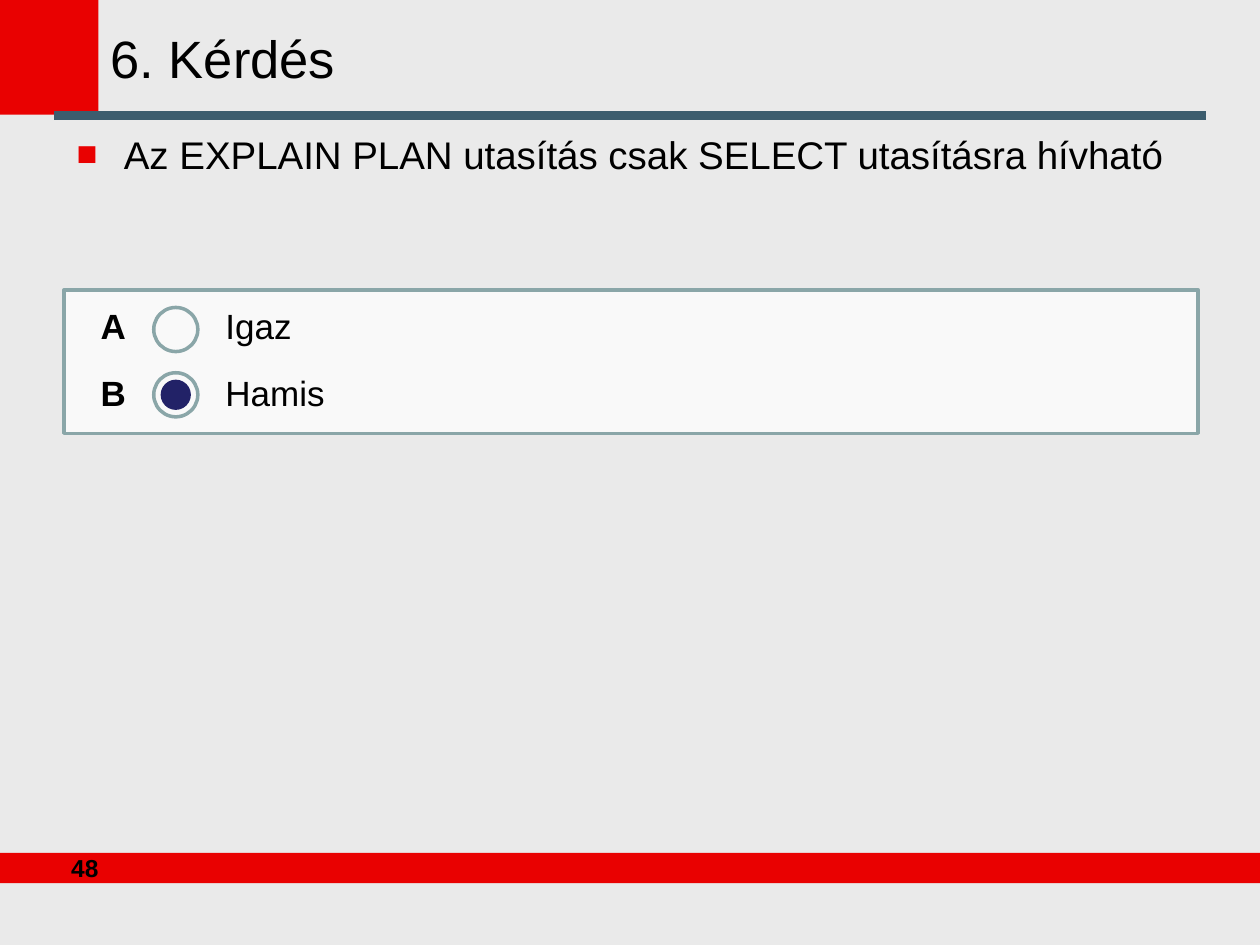
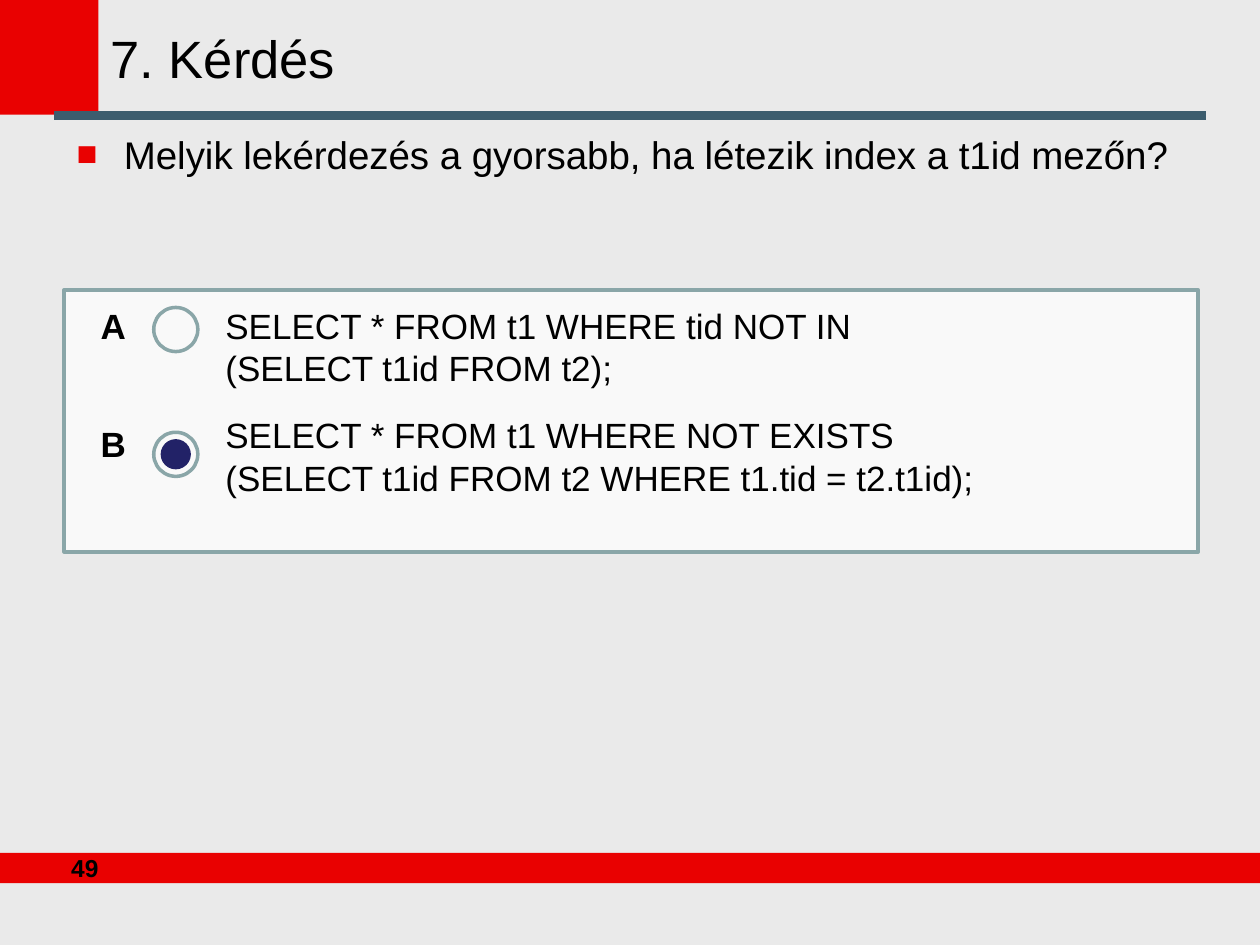
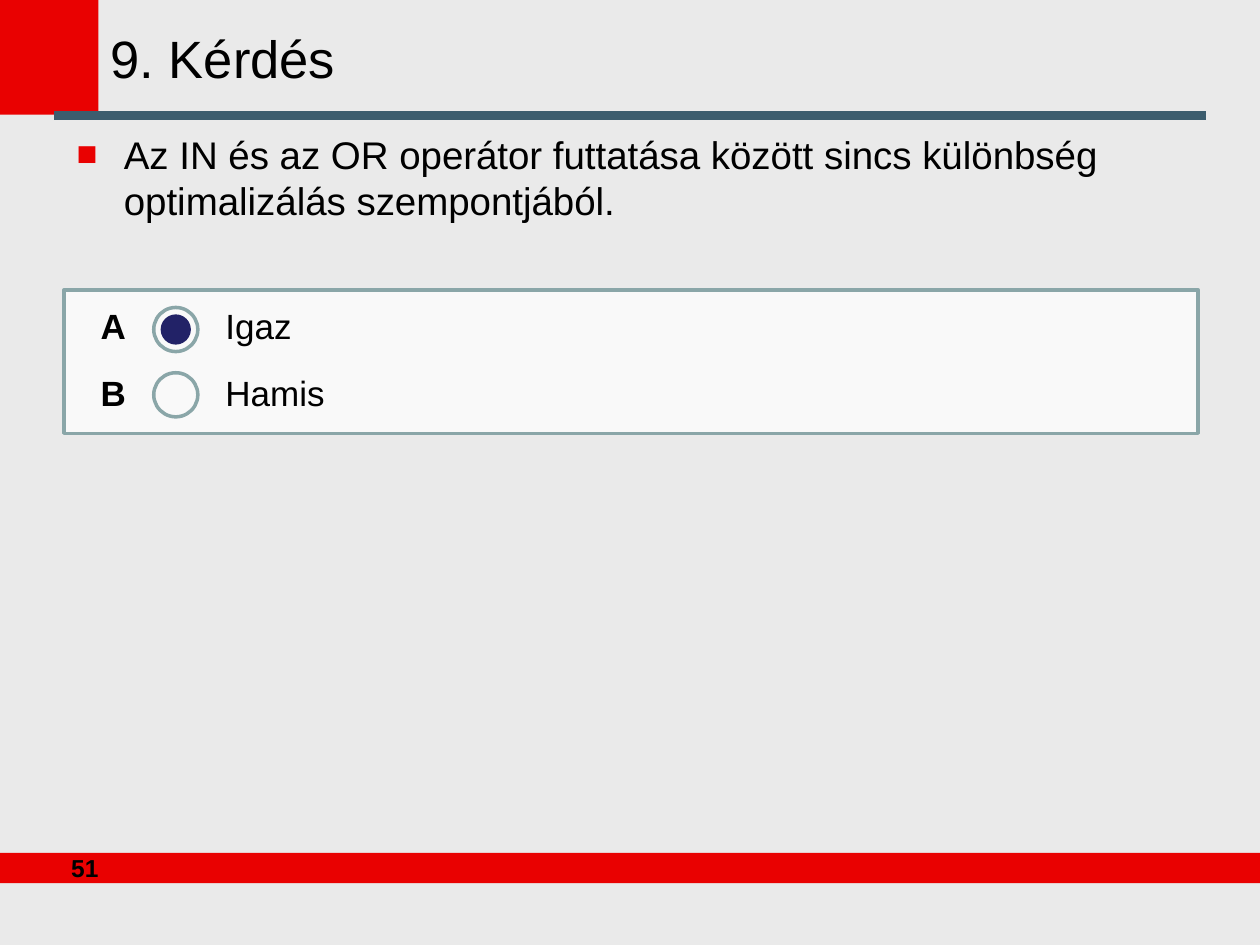
from pptx import Presentation
from pptx.dml.color import RGBColor
from pptx.enum.shapes import MSO_CONNECTOR, MSO_SHAPE
from pptx.enum.text import MSO_ANCHOR, PP_ALIGN
from pptx.oxml.ns import qn
from pptx.util import Pt
from lxml.etree import SubElement

# Shared look
FONT = "Arial"
BACKGROUND, RED, SLATE = "EAEAEA", "E90101", "3C5D6E"
PANEL, BORDER, DOT, BLACK = "F9F9F9", "8AA6A8", "222267", "000000"
LINE_FACTOR = 1.2
ANSWER_GAP = 14.4
PANEL_LEFT, PANEL_TOP, PANEL_WIDTH = 36.7, 165.6, 648
ANSWER_TOP = 170.6
RING_LEFT, RING_SIZE, DOT_SIZE = 87.84, 25.2, 17.28
FIRST_RING_TOP = 175.7

# Number, title, question, answers (as lines), right answer, panel height, second ring top
QUESTIONS = [
    ("48", "6. Kérdés", "Az EXPLAIN PLAN utasítás csak SELECT utasításra hívható",
     [["Igaz"], ["Hamis"]], 1, 82, 213),
    ("49", "7. Kérdés", "Melyik lekérdezés a gyorsabb, ha létezik index a t1id mezőn?",
     [["SELECT * FROM t1 WHERE tid NOT IN", "(SELECT t1id FROM t2);"],
      ["SELECT * FROM t1 WHERE NOT EXISTS",
       "(SELECT t1id FROM t2 WHERE t1.tid = t2.t1id);"]], 1, 149.8, 247),
    ("51", "9. Kérdés",
     "Az IN és az OR operátor futtatása között sincs különbség optimalizálás szempontjából.",
     [["Igaz"], ["Hamis"]], 0, 82, 213),
]


def color(hex_code):
    return RGBColor.from_string(hex_code)


def add_box(slide, kind, left, top, width, height, fill=None, line=None, weight=2):
    sp = slide.shapes.add_shape(kind, Pt(left), Pt(top), Pt(width), Pt(height))
    sp.shadow.inherit = False
    if fill:
        sp.fill.solid()
        sp.fill.fore_color.rgb = color(fill)
    else:
        sp.fill.background()
    if line:
        sp.line.color.rgb = color(line)
        sp.line.width = Pt(weight)
    else:
        sp.line.fill.background()


def add_rule(slide, left, right, y):
    line = slide.shapes.add_connector(MSO_CONNECTOR.STRAIGHT, Pt(left), Pt(y), Pt(right), Pt(y))
    line.line.color.rgb = color(SLATE)
    line.line.width = Pt(5)
    SubElement(line._element.spPr, qn("a:effectLst"))


def add_text(slide, groups, left, top, width, height, size=20, bold=False,
             align=PP_ALIGN.LEFT, anchor=MSO_ANCHOR.TOP, gap=0, bullet=False):
    """Write groups of lines, with a gap before each group after the first."""
    tf = slide.shapes.add_textbox(Pt(left), Pt(top), Pt(width), Pt(height)).text_frame
    tf.word_wrap = True
    tf.vertical_anchor = anchor
    lines = [(text, gap if g and not i else 0)
             for g, group in enumerate(groups) for i, text in enumerate(group)]
    for n, (text, before) in enumerate(lines):
        p = tf.add_paragraph() if n else tf.paragraphs[0]
        p.alignment = align
        p.space_before = Pt(before)
        p.line_spacing = Pt(size * LINE_FACTOR)
        r = p.add_run()
        r.text = text
        r.font.name = FONT
        r.font.size = Pt(size)
        r.font.bold = bold
        r.font.color.rgb = color(BLACK)
        if bullet:
            add_bullet(p)


def add_bullet(p):
    pPr = p._p.get_or_add_pPr()
    pPr.set("marL", str(Pt(27)))
    pPr.set("indent", str(-Pt(27)))
    SubElement(SubElement(pPr, qn("a:buClr")), qn("a:srgbClr"), val=RED)
    SubElement(pPr, qn("a:buSzPct"), val="90000")
    SubElement(pPr, qn("a:buFont"), typeface=FONT)
    SubElement(pPr, qn("a:buChar"), char="■")


def add_frame(slide, number, title):
    add_box(slide, MSO_SHAPE.RECTANGLE, 0, -0.7, 56.2, 66.2, fill=RED)
    add_box(slide, MSO_SHAPE.RECTANGLE, 0, 487.4, 723, 17.3, fill=RED)
    add_text(slide, [[number]], -1.4, 483.8, 64.8, 24.5, size=14, bold=True,
             align=PP_ALIGN.RIGHT)
    add_rule(slide, 31, 689, 66.2)
    add_text(slide, [[title]], 56.2, 13, 628.6, 39.6, size=30, anchor=MSO_ANCHOR.MIDDLE)


def add_radio(slide, top, chosen):
    if chosen:
        inset = (RING_SIZE - DOT_SIZE) / 2
        add_box(slide, MSO_SHAPE.OVAL, RING_LEFT + inset, top + inset,
                DOT_SIZE, DOT_SIZE, fill=DOT)
    add_box(slide, MSO_SHAPE.OVAL, RING_LEFT, top, RING_SIZE, RING_SIZE, line=BORDER)


def add_answers(slide, answers, right, height, second_ring_top):
    add_box(slide, MSO_SHAPE.RECTANGLE, PANEL_LEFT, PANEL_TOP, PANEL_WIDTH, height,
            fill=PANEL, line=BORDER)
    for i, top in enumerate((FIRST_RING_TOP, second_ring_top)):
        add_radio(slide, top, i == right)
    text_height = height - 11.5
    add_text(slide, answers, 121.7, ANSWER_TOP, 555.8, text_height, gap=ANSWER_GAP)
    label_gap = ANSWER_GAP * (2 * len(answers[0]) - 1)
    add_text(slide, [["A"], ["B"]], 50.4, ANSWER_TOP, 28.1, text_height,
             bold=True, gap=label_gap)


def main():
    prs = Presentation()
    prs.slide_width, prs.slide_height = Pt(720), Pt(540)
    for number, title, question, answers, right, height, ring_top in QUESTIONS:
        s = prs.slides.add_slide(prs.slide_layouts[6])
        s.background.fill.solid()
        s.background.fill.fore_color.rgb = color(BACKGROUND)
        add_frame(s, number, title)
        add_text(s, [[question]], PANEL_LEFT, 71.3, PANEL_WIDTH, 415.4, size=22, bullet=True)
        add_answers(s, answers, right, height, ring_top)
    prs.save("out.pptx")


if __name__ == "__main__":
    main()
